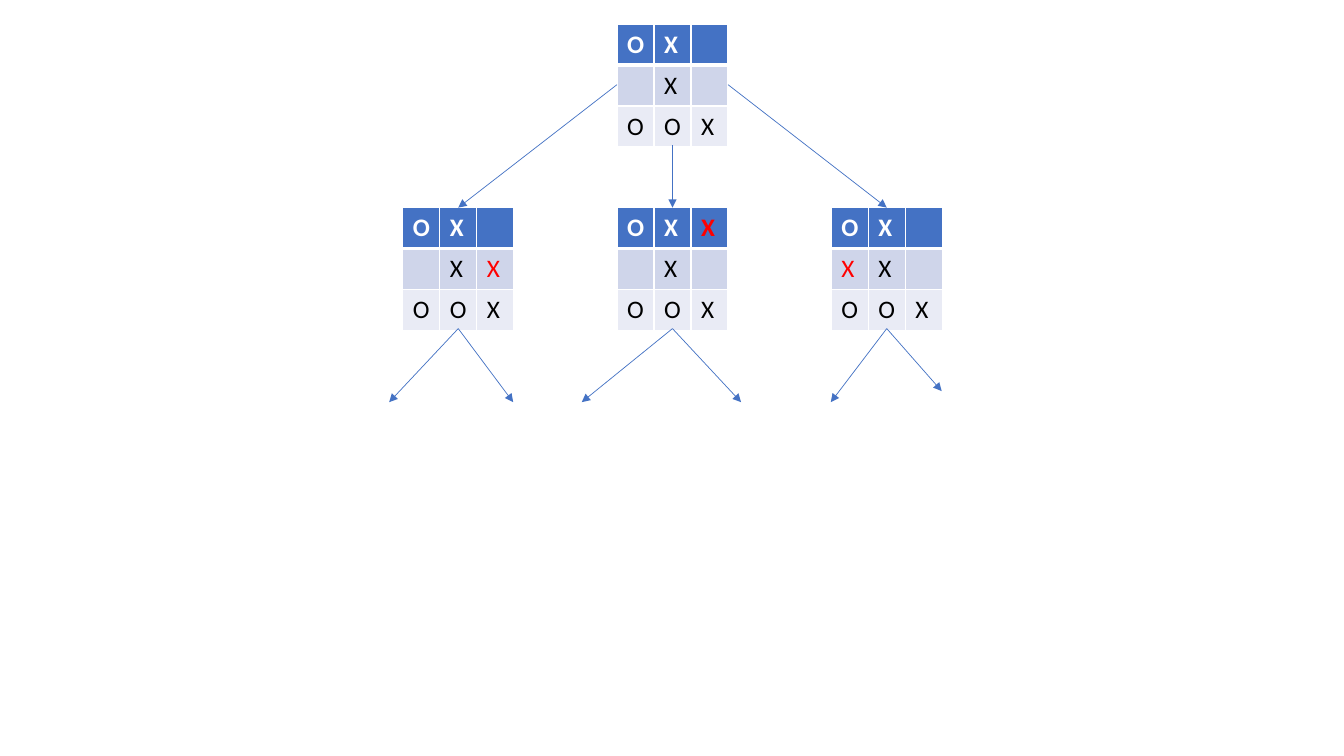
from lxml.etree import SubElement
from pptx import Presentation
from pptx.dml.color import RGBColor
from pptx.enum.shapes import MSO_CONNECTOR as Connector
from pptx.oxml.ns import qn
from pptx.util import Inches, Pt

COLORS = {
    "blue": "4472C4",
    "band_dark": "CFD5EA",
    "band_light": "E9EBF5",
    "white": "FFFFFF",
    "black": "000000",
    "red": "FF0000",
}
ROW_FILLS = ("blue", "band_dark", "band_light")
CELL_WIDTH, CELL_HEIGHT = 0.367, 0.4
BOARD_WIDTH, BOARD_HEIGHT = 3 * CELL_WIDTH, 3 * CELL_HEIGHT
ROOT_TOP, CHILD_TOP = 0.24, 2.06
CENTER, SPACING = 6.67, 2.125
START = ("OX ", " X ", "OOX")
MOVES = ((1, 2), (0, 2), (1, 0))
LEAF_ENDS = (
    ((3.86, 3.99), (5.09, 3.99)),
    ((5.77, 3.99), (7.35, 3.99)),
    ((8.24, 3.99), (9.34, 3.88)),
)


class GameTreeSlide:
    """Draws game boards and arrows on one slide in a shared style."""

    def __init__(self, slide, font="Calibri", size=18):
        self.slide = slide
        self.font = font
        self.size = size

    def color(self, name):
        return RGBColor.from_string(COLORS[name])

    def border(self, cell, side, width):
        properties = cell._tc.get_or_add_tcPr()
        line = SubElement(properties, qn(f"a:{side}"), w=str(Pt(width)))
        fill = SubElement(line, qn("a:solidFill"))
        SubElement(fill, qn("a:srgbClr"), val=COLORS["white"])

    def cell(self, cell, mark, row, is_move):
        for side in ("lnL", "lnR", "lnT", "lnB"):
            under_header = (row, side) in ((0, "lnB"), (1, "lnT"))
            self.border(cell, side, 3 if under_header else 1)
        cell.fill.solid()
        cell.fill.fore_color.rgb = self.color(ROW_FILLS[row])
        paragraph = cell.text_frame.paragraphs[0]
        paragraph.font.name = self.font
        paragraph.font.size = Pt(self.size)
        paragraph.font.bold = row == 0
        text_color = "red" if is_move else "white" if row == 0 else "black"
        paragraph.font.color.rgb = self.color(text_color)
        if mark:
            paragraph.add_run().text = mark

    def board(self, center, top, move=None):
        shape = self.slide.shapes.add_table(
            3, 3, Inches(center - BOARD_WIDTH / 2), Inches(top),
            Inches(BOARD_WIDTH), Inches(BOARD_HEIGHT))
        table = shape.table
        for column in table.columns:
            column.width = Inches(CELL_WIDTH)
        for row, marks in enumerate(START):
            table.rows[row].height = Inches(CELL_HEIGHT)
            for column, mark in enumerate(marks):
                is_move = (row, column) == move
                text = "X" if is_move else mark.strip()
                self.cell(table.cell(row, column), text, row, is_move)

    def arrow(self, start, end):
        points = [Inches(value) for value in (*start, *end)]
        connector = self.slide.shapes.add_connector(Connector.STRAIGHT, *points)
        connector.line.color.rgb = self.color("blue")
        connector.line.width = Pt(0.5)
        SubElement(connector.line._get_or_add_ln(), qn("a:tailEnd"), type="triangle")
        SubElement(connector._element.spPr, qn("a:effectLst"))


def main():
    presentation = Presentation()
    presentation.slide_width = Inches(13.33)
    presentation.slide_height = Inches(7.5)
    slide = presentation.slides.add_slide(presentation.slide_layouts[6])
    tree = GameTreeSlide(slide)

    child_centers = [CENTER + step * SPACING for step in (-1, 0, 1)]
    tree.board(CENTER, ROOT_TOP)
    for center, move in zip(child_centers, MOVES):
        tree.board(center, CHILD_TOP, move)

    root_middle = ROOT_TOP + BOARD_HEIGHT / 2
    root_exits = (
        (CENTER - BOARD_WIDTH / 2, root_middle),
        (CENTER, ROOT_TOP + BOARD_HEIGHT),
        (CENTER + BOARD_WIDTH / 2, root_middle),
    )
    for root_exit, center in zip(root_exits, child_centers):
        tree.arrow(root_exit, (center, CHILD_TOP))
    for center, ends in zip(child_centers, LEAF_ENDS):
        for end in ends:
            tree.arrow((center, CHILD_TOP + BOARD_HEIGHT), end)

    presentation.save("out.pptx")


if __name__ == "__main__":
    main()
